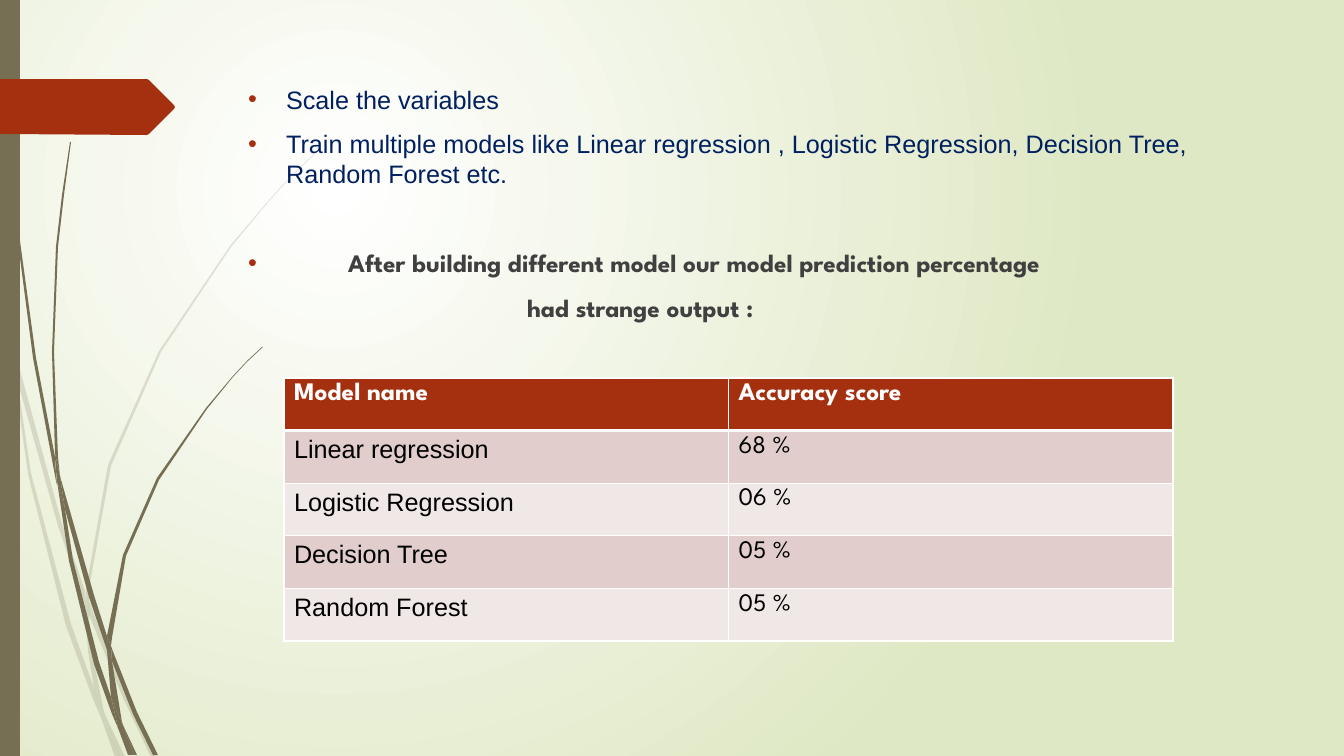
from pptx import Presentation
from pptx.dml.color import RGBColor
from pptx.enum.shapes import MSO_SHAPE
from pptx.enum.text import MSO_ANCHOR, MSO_AUTO_SIZE
from pptx.oxml import parse_xml
from pptx.oxml.ns import nsdecls, qn
from pptx.util import Emu, Pt

RECTANGLE = MSO_SHAPE.RECTANGLE
TOP, NO_AUTOFIT = MSO_ANCHOR.TOP, MSO_AUTO_SIZE.NONE
SCALE = 914400 / 100.8
OLIVE, RED, WHITE, BLACK = "766F54", "A53010", "FFFFFF", "000000"
NAVY, GRAY, LIME = "002060", "404040", "DFE8C4"
DARK_BAND, LIGHT_BAND = "E1CDCC", "F0E8E7"
ARIAL, SPARTAN = "Arial", "League Spartan"

# Outlines of the grass pieces, as points (x, y)
PALE_GRASS = [
    [(11, 353), (9, 325), (0, 284), (0, 301), (10, 347)],
    [(58, 526), (85, 604), (85, 591), (62, 524), (14, 348), (17, 379)],
    [(93, 612), (89, 601), (89, 615), (124, 700), (151, 757), (156, 757),
     (128, 698)],
    [(120, 757), (125, 757), (106, 717)],
    [(94, 688), (71, 624), (31, 473), (17, 379), (11, 353), (28, 474),
     (66, 626), (93, 699), (102, 720), (100, 713)],
    [(85, 604), (88, 651), (94, 688), (97, 698), (106, 717), (104, 712),
     (92, 651), (89, 615), (89, 613)],
    [(89, 589), (111, 466), (161, 352), (231, 247), (270, 200), (292, 176),
     (314, 155), (314, 154), (291, 176), (270, 199), (230, 246), (159, 351),
     (108, 465), (86, 589), (86, 591), (89, 601)],
    [(102, 720), (115, 757), (120, 757)],
    [(89, 613), (89, 615), (89, 601), (86, 591), (85, 604)],
    [(97, 698), (94, 688), (100, 713), (102, 720), (120, 757), (106, 717)],
]
DARK_GRASS = [
    [(7, 111), (17, 235), (33, 358), (56, 481), (57, 485), (55, 461),
     (55, 457), (36, 358), (19, 234), (8, 110), (5, 48), (4, 0), (3, 0),
     (4, 48)],
    [(89, 597), (107, 650), (107, 638), (107, 636), (94, 595), (60, 476),
     (65, 509)],
    [(114, 654), (111, 646), (112, 661), (133, 714), (153, 755), (158, 755),
     (137, 712)],
    [(111, 697), (99, 662), (73, 560), (65, 509), (57, 481), (69, 561),
     (94, 664), (112, 714), (118, 728), (117, 723)],
    [(60, 476), (58, 457), (54, 352), (58, 247), (64, 195), (71, 142),
     (70, 142), (62, 195), (56, 247), (52, 352), (55, 453)],
    [(134, 755), (137, 755), (123, 725)],
    [(57, 481), (65, 509), (60, 476), (55, 453), (55, 457)],
    [(112, 638), (126, 556), (159, 480), (207, 409), (233, 377), (247, 362),
     (263, 347), (262, 347), (247, 361), (233, 376), (206, 408), (157, 478),
     (123, 555), (107, 636), (111, 646)],
    [(118, 728), (128, 755), (132, 755)],
    [(107, 650), (111, 697), (117, 712), (123, 725), (122, 722), (112, 661),
     (110, 656)],
    [(107, 650), (110, 656), (112, 661), (111, 646), (107, 636), (107, 638)],
    [(117, 712), (111, 697), (117, 723), (118, 728), (131, 755), (134, 755),
     (123, 725)],
]
RED_TAG = [(0, 79), (147, 79), (149, 80), (174, 105), (175, 107), (174, 109),
           (149, 134), (147, 135), (0, 134)]

# Text, font, colour, bold, text indent, bullet, space before
BODY = [
    ("Scale the variables", ARIAL, NAVY, False, 38, True, 10),
    ("Train multiple models like Linear regression , Logistic Regression, "
     "Decision Tree, Random Forest etc.", ARIAL, NAVY, False, 38, True, 10),
    ("After building different model our model prediction percentage",
     SPARTAN, GRAY, True, 100, True, 42),
    ("had strange output :", SPARTAN, GRAY, True, 279, False, 10),
]
SCORES = [
    ("Model name", "Accuracy score"),
    ("Linear regression", "68 %"),
    ("Logistic Regression", "06 %"),
    ("Decision Tree", "05 %"),
    ("Random Forest", "05 %"),
]


def px(value):
    return Emu(round(value * SCALE))


def color(value):
    return RGBColor.from_string(value)


def paint(shape, fill):
    shape.shadow.inherit = False
    shape.fill.solid()
    shape.fill.fore_color.rgb = color(fill)
    shape.line.fill.background()


def style(paragraph, name, fill, bold):
    font = paragraph.font
    font.name, font.size, font.bold = name, Pt(18), bold
    font.color.rgb = color(fill)


def add_background(slide):
    stops = "".join(
        f'<a:gs pos="{position}"><a:srgbClr val="{value}"/></a:gs>'
        for position, value in ((0, WHITE), (100000, LIME)))
    slide.element.cSld.insert(0, parse_xml(
        f'<p:bg {nsdecls("p", "a")}><p:bgPr><a:gradFill rotWithShape="1">'
        f'<a:gsLst>{stops}</a:gsLst><a:path path="circle"><a:fillToRect '
        'l="50000" t="50000" r="100000" b="100000"/></a:path></a:gradFill>'
        '<a:effectLst/></p:bgPr></p:bg>'))


def add_outline(slide, left, top, outline, fill, opacity=None):
    points = [(px(left + x), px(top + y)) for x, y in outline]
    builder = slide.shapes.build_freeform(*points[0], scale=1.0)
    builder.add_line_segments(points[1:], close=True)
    shape = builder.convert_to_shape()
    paint(shape, fill)
    if opacity:
        solid = shape._element.spPr.find(qn("a:solidFill"))
        solid[0].append(parse_xml(
            f'<a:alpha {nsdecls("a")} val="{opacity * 1000}"/>'))


def add_side_decoration(slide, left, top, width, height):
    for outline in PALE_GRASS:
        add_outline(slide, left, top, outline, OLIVE, opacity=20)
    for outline in DARK_GRASS:
        add_outline(slide, left, top, outline, OLIVE)
    bar = slide.shapes.add_shape(
        RECTANGLE, px(left), px(top), px(width), px(height))
    paint(bar, OLIVE)
    add_outline(slide, left, top, RED_TAG, RED)


def add_body(slide, left, top, width, height):
    body = slide.placeholders[1]
    body.left, body.top = px(left), px(top)
    body.width, body.height = px(width), px(height)
    frame = body.text_frame
    frame.word_wrap, frame.auto_size = True, NO_AUTOFIT
    frame.vertical_anchor = TOP
    for index, (text, name, fill, bold, indent, bullet, space) in enumerate(BODY):
        paragraph = frame.add_paragraph() if index else frame.paragraphs[0]
        paragraph.text = text
        style(paragraph, name, fill, bold)
        paragraph.space_before = Pt(space)
        properties = paragraph._p.get_or_add_pPr()
        properties.set("marL", str(px(indent)))
        properties.set("indent", str(px(-indent if bullet else 0)))
        marks = [f'<a:buClr {nsdecls("a")}><a:srgbClr val="{RED}"/></a:buClr>',
                 f'<a:buFont {nsdecls("a")} typeface="{ARIAL}"/>',
                 f'<a:buChar {nsdecls("a")} char="•"/>']
        if not bullet:
            marks = [f'<a:buNone {nsdecls("a")}/>']
        for mark in marks:
            properties.find(qn("a:defRPr")).addprevious(parse_xml(mark))


def add_borders(cell, header, first_data_row):
    points = {"L": 1, "R": 1, "T": 3 if first_data_row else 1,
              "B": 3 if header else 1}
    for index, (side, width) in enumerate(points.items()):
        cell._tc.get_or_add_tcPr().insert(index, parse_xml(
            f'<a:ln{side} {nsdecls("a")} w="{Pt(width)}"><a:solidFill>'
            f'<a:srgbClr val="{WHITE}"/></a:solidFill></a:ln{side}>'))


def add_score_table(slide, left, top, width, height):
    table = slide.shapes.add_table(
        len(SCORES), 2, px(left), px(top), px(width), px(height)).table
    for row, values in enumerate(SCORES):
        header = row == 0
        band = RED if header else DARK_BAND if row % 2 else LIGHT_BAND
        for column, value in enumerate(values):
            cell = table.cell(row, column)
            cell.text = value
            cell.fill.solid()
            cell.fill.fore_color.rgb = color(band)
            style(cell.text_frame.paragraphs[0],
                  SPARTAN if header or column else ARIAL,
                  WHITE if header else BLACK, header)
            add_borders(cell, header, row == 1)


presentation = Presentation()
presentation.slide_width, presentation.slide_height = px(1344), px(756)
slide = presentation.slides.add_slide(presentation.slide_layouts[1])
title = slide.shapes.title._element
title.getparent().remove(title)
add_background(slide)
add_side_decoration(slide, 0, 0, 20, 756)
add_body(slide, 238, 79, 983, 550)
add_score_table(slide, 284, 378, 889, 263)
presentation.save("out.pptx")
